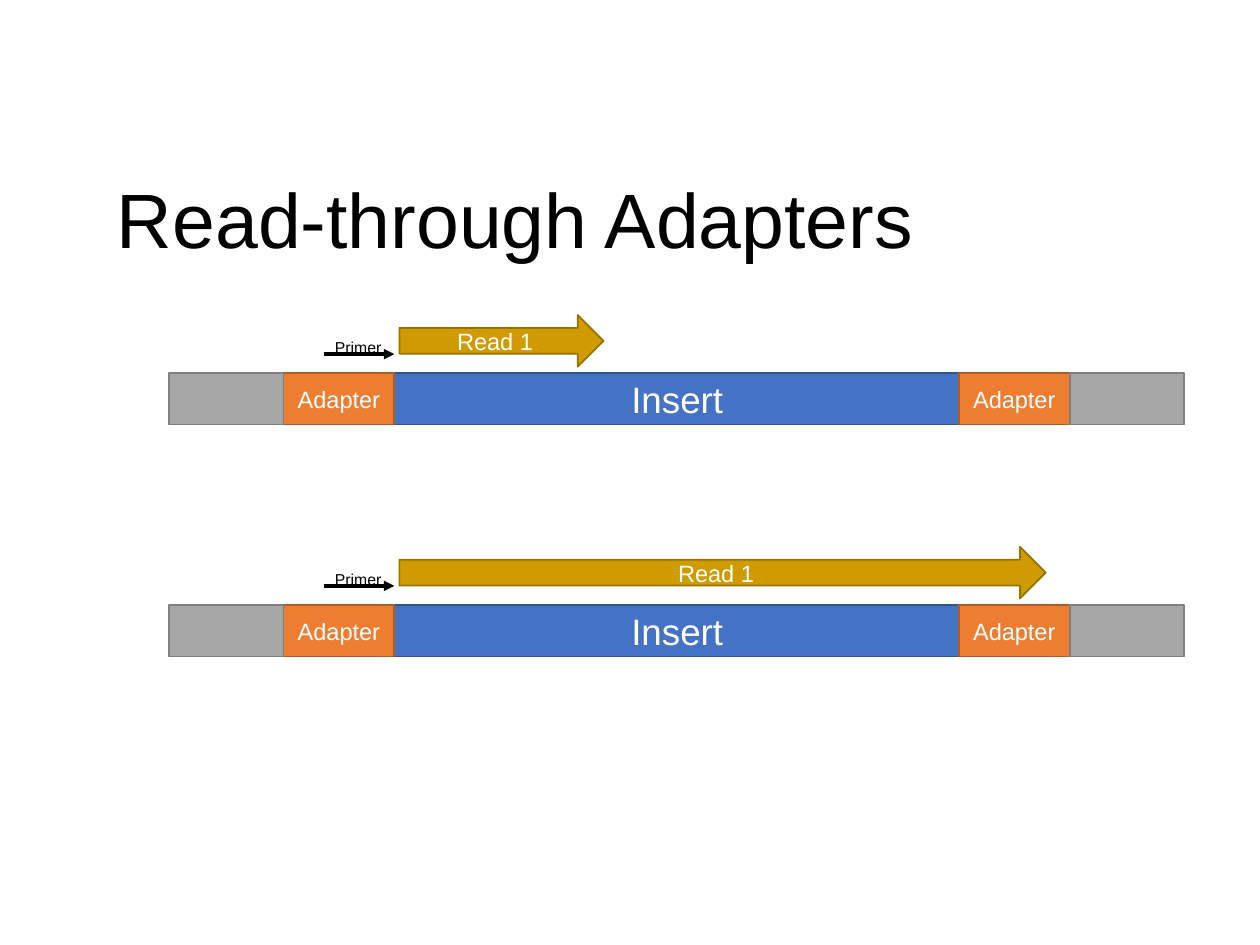
from lxml import etree
from pptx import Presentation
from pptx.dml.color import RGBColor
from pptx.enum.shapes import MSO_CONNECTOR, MSO_SHAPE
from pptx.enum.text import MSO_ANCHOR, MSO_AUTO_SIZE, PP_ALIGN
from pptx.oxml.ns import qn
from pptx.util import Inches, Pt

RECTANGLE, RIGHT_ARROW = MSO_SHAPE.RECTANGLE, MSO_SHAPE.RIGHT_ARROW
STRAIGHT = MSO_CONNECTOR.STRAIGHT
TOP, MIDDLE = MSO_ANCHOR.TOP, MSO_ANCHOR.MIDDLE
LEFT, CENTER = PP_ALIGN.LEFT, PP_ALIGN.CENTER
NO_FIT, GROW = MSO_AUTO_SIZE.NONE, MSO_AUTO_SIZE.SHAPE_TO_FIT_TEXT

COLORS = {
    "text": "000000", "label": "FFFFFF",
    "insert": "4472C4", "insert line": "325491",
    "adapter": "ED7D31", "adapter line": "AF5C24",
    "end": "A6A6A6", "end line": "808080",
    "read": "CF9B00", "read line": "997300",
}

presentation = Presentation()
presentation.slide_width, presentation.slide_height = Inches(10), Inches(7.5)
slide = presentation.slides.add_slide(presentation.slide_layouts[6])


def place(*shares):
    """Turn x, y pairs in percent of the slide into lengths."""
    sides = (presentation.slide_width, presentation.slide_height)
    return [round(sides[i % 2] * share / 100) for i, share in enumerate(shares)]


def write(shape, text, size, color, align=CENTER, **frame_format):
    frame = shape.text_frame
    formats = {"word_wrap": True, "vertical_anchor": MIDDLE, "auto_size": NO_FIT}
    for name, value in (formats | frame_format).items():
        setattr(frame, name, value)
    paragraph = frame.paragraphs[0]
    paragraph.alignment = align
    run = paragraph.add_run()
    run.text = text
    for name, value in {"name": "Arial", "size": Pt(size)}.items():
        setattr(run.font, name, value)
    run.font.color.rgb = RGBColor.from_string(COLORS[color])


# Title
title = slide.shapes.add_textbox(*place(8.3, 12.53, 113.5, 20.93))
write(title, "Read-through Adapters", 44, "text", LEFT)

# Fragment parts: kind, shape, left, rise above the bar, width, label, text size
BAR_HEIGHT = 5.47
PARTS = [
    ("insert", RECTANGLE, 31.3, 0, 44.9, "Insert", 21),
    ("adapter", RECTANGLE, 22.5, 0, 8.8, "Adapter", 13.5),
    ("end", RECTANGLE, 13.4, 0, 9.1, "", 0),
    ("adapter", RECTANGLE, 76.1, 0, 8.8, "Adapter", 13.5),
    ("end", RECTANGLE, 84.9, 0, 9.1, "", 0),
]

# One fragment per row: bar top and read length
for bar_top, read_width in ((39.47, 16.2), (64, 51.3)):
    shapes = slide.shapes.add_group_shape().shapes

    # Primer arrow and its label
    line_y = bar_top - 2
    primer = shapes.add_connector(STRAIGHT, *place(25.7, line_y, 31.3, line_y))
    primer.line.width = Pt(2)
    primer.line.color.rgb = RGBColor.from_string(COLORS["text"])
    etree.SubElement(primer.line._get_or_add_ln(), qn("a:tailEnd"), type="triangle")
    etree.SubElement(primer._element.spPr, qn("a:effectLst"))
    label = shapes.add_textbox(*place(25.6, bar_top - 4.4, 6.3, 3.33))
    write(label, "Primer", 9, "text", LEFT,
          word_wrap=False, vertical_anchor=TOP, auto_size=GROW)

    # Bar segments and read arrow
    read = ("read", RIGHT_ARROW, 31.7, 6.13, read_width, "Read 1", 13.5)
    for kind, outline, left, rise, width, text, size in PARTS + [read]:
        part = shapes.add_shape(
            outline, *place(left, bar_top - rise, width, BAR_HEIGHT))
        part.shadow.inherit = False
        part.fill.solid()
        part.fill.fore_color.rgb = RGBColor.from_string(COLORS[kind])
        part.line.color.rgb = RGBColor.from_string(COLORS[kind + " line"])
        part.line.width = Pt(1)
        if text:
            write(part, text, size, "label")

presentation.save("out.pptx")
